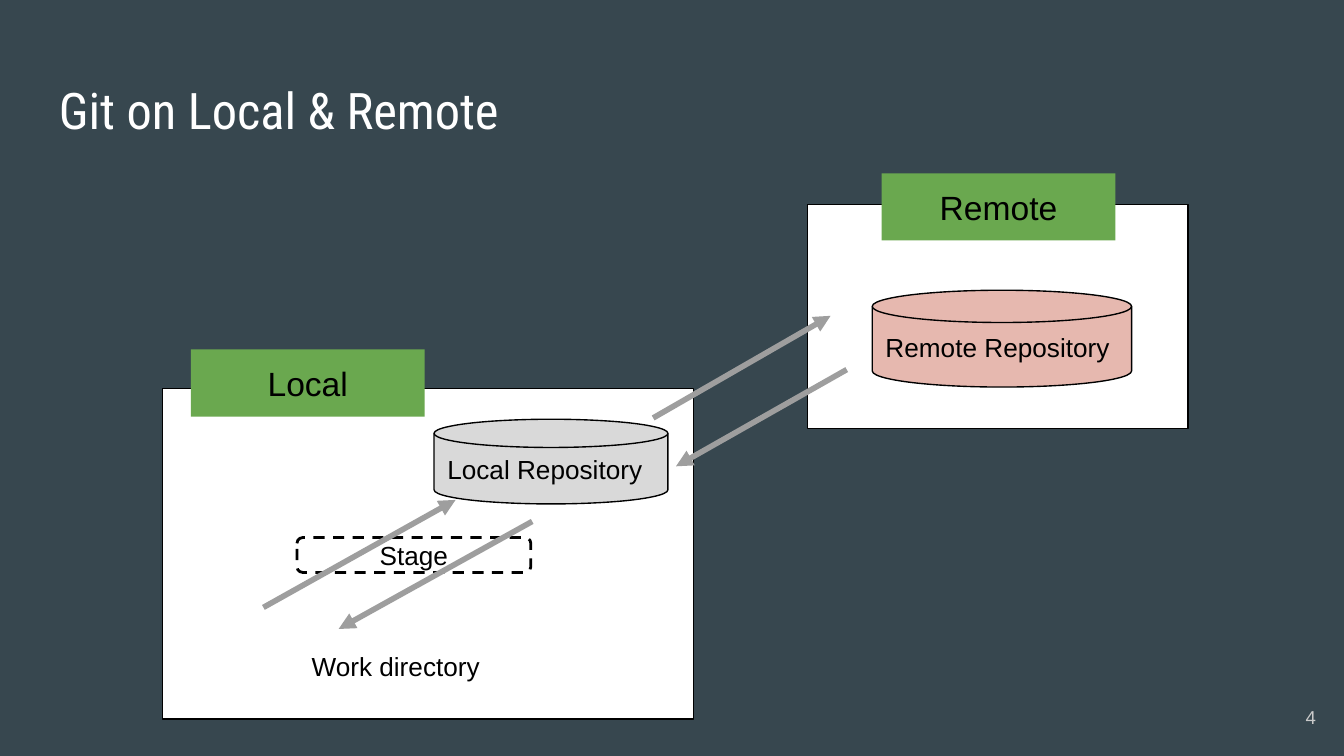
import pptx
import pptx.dml.color
import pptx.enum.dml
import pptx.enum.shapes
import pptx.enum.text
import pptx.oxml
import pptx.oxml.ns
import pptx.util

Inches = pptx.util.Inches
Pt = pptx.util.Pt
SHAPE = pptx.enum.shapes.MSO_SHAPE
ALIGN = pptx.enum.text.PP_ALIGN
ANCHOR = pptx.enum.text.MSO_ANCHOR
BLACK, WHITE, GREEN, ARROW_GREY = "000000", "FFFFFF", "6AA84F", "9E9E9E"


def color(value):
    return pptx.dml.color.RGBColor.from_string(value)


def apply(target, formats):
    for attribute, value in formats.items():
        setattr(target, attribute, value)


def write(holder, words, size, ink=BLACK, font="Arial", align=ALIGN.LEFT, anchor=ANCHOR.TOP):
    frame = holder.text_frame
    margins = dict.fromkeys(
        ("margin_left", "margin_right", "margin_top", "margin_bottom"), Inches(0.1))
    apply(frame, {"word_wrap": True, "vertical_anchor": anchor, **margins})
    paragraph = frame.paragraphs[0]
    paragraph.alignment = align
    run = paragraph.add_run()
    apply(run, {"text": words})
    apply(run.font, {"name": font, "size": Pt(size)})
    run.font.color.rgb = color(ink)


def add_text(slide, box, words, size, **style):
    write(slide.shapes.add_textbox(*map(Inches, box)), words, size, **style)


def add_block(slide, kind, box, fill=None, line_width=0.75, dash=None):
    block = slide.shapes.add_shape(kind, *map(Inches, box))
    block.shadow.inherit = False
    if fill:
        block.fill.solid()
        block.fill.fore_color.rgb = color(fill)
    else:
        block.fill.background()
    if line_width:
        block.line.color.rgb = color(BLACK)
        apply(block.line, {"width": Pt(line_width), "dash_style": dash})
    else:
        block.line.fill.background()
    return block


def add_arrow(slide, start, end):
    arrow = slide.shapes.add_connector(
        pptx.enum.shapes.MSO_CONNECTOR.STRAIGHT, *map(Inches, start + end))
    arrow.line.color.rgb = color(ARROW_GREY)
    arrow.line.width = Pt(3)
    tail = pptx.oxml.parse_xml(
        f'<a:tailEnd {pptx.oxml.ns.nsdecls("a")} type="triangle" w="med" len="med"/>')
    arrow.line._get_or_add_ln().append(tail)
    arrow._element.spPr.append(
        pptx.oxml.parse_xml(f'<a:effectLst {pptx.oxml.ns.nsdecls("a")}/>'))


def add_site(slide, box, label, label_offset, repository, repository_box, repository_fill):
    left, top = box[:2]
    add_block(slide, SHAPE.RECTANGLE, box, WHITE)
    x, y, width, height = repository_box
    disk = add_block(slide, SHAPE.FLOWCHART_MAGNETIC_DISK,
                     (left + x, top + y, width, height), repository_fill)
    write(disk, repository, 14, anchor=ANCHOR.MIDDLE)
    x, y = label_offset
    tag = add_block(slide, SHAPE.RECTANGLE, (left + x, top + y, 1.74, 0.5), GREEN, line_width=0)
    write(tag, label, 18, align=ALIGN.CENTER)


def add_remote(slide, box):
    add_site(slide, box, "Remote", (0.55, -0.23),
             "Remote Repository", (0.48, 0.64, 1.93, 0.72), "E6B8AF")


def add_local(slide, box):
    left, top = box[:2]
    add_site(slide, box, "Local", (0.21, -0.29),
             "Local Repository", (2.02, 0.23, 1.74, 0.63), "D9D9D9")
    add_text(slide, (left + 1.01, top + 1.85, 1.74, 0.44), "Work directory", 14)
    stage = add_block(slide, SHAPE.FLOWCHART_ALTERNATE_PROCESS,
                      (left + 1, top + 1.11, 1.74, 0.26), line_width=1.5,
                      dash=pptx.enum.dml.MSO_LINE.DASH)
    write(stage, "Stage", 14, align=ALIGN.CENTER, anchor=ANCHOR.MIDDLE)


def add_transfers(slide, box, transfers):
    left, top = box[:2]
    for start, end in transfers:
        add_arrow(slide, (left + start[0], top + start[1]), (left + end[0], top + end[1]))


def main():
    deck = pptx.Presentation()
    apply(deck, {"slide_width": Inches(10), "slide_height": Inches(10) * 9 // 16})
    slide = deck.slides.add_slide(deck.slide_layouts[6])
    slide.background.fill.solid()
    slide.background.fill.fore_color.rgb = color("37474F")

    local_box = (1.21, 2.89, 3.95, 2.46)
    commit_and_checkout = [((0.75, 1.63), (2.18, 0.83)), ((2.75, 0.99), (1.31, 1.79))]
    push_and_pull = [((3.65, 0.22), (4.97, -0.54)), ((5.09, -0.14), (3.82, 0.58))]

    add_text(slide, (0.34, 0.49, 9.32, 0.63), "Git on Local & Remote", 27,
             ink=WHITE, font="Roboto Condensed")
    add_remote(slide, (6.01, 1.52, 2.83, 1.67))
    add_local(slide, local_box)
    add_transfers(slide, local_box, commit_and_checkout + push_and_pull)
    add_text(slide, (9.29, 5.12, 0.6, 0.43), "4", 10, ink="CACACA",
             align=ALIGN.RIGHT, anchor=ANCHOR.MIDDLE)
    deck.save("out.pptx")


if __name__ == "__main__":
    main()
